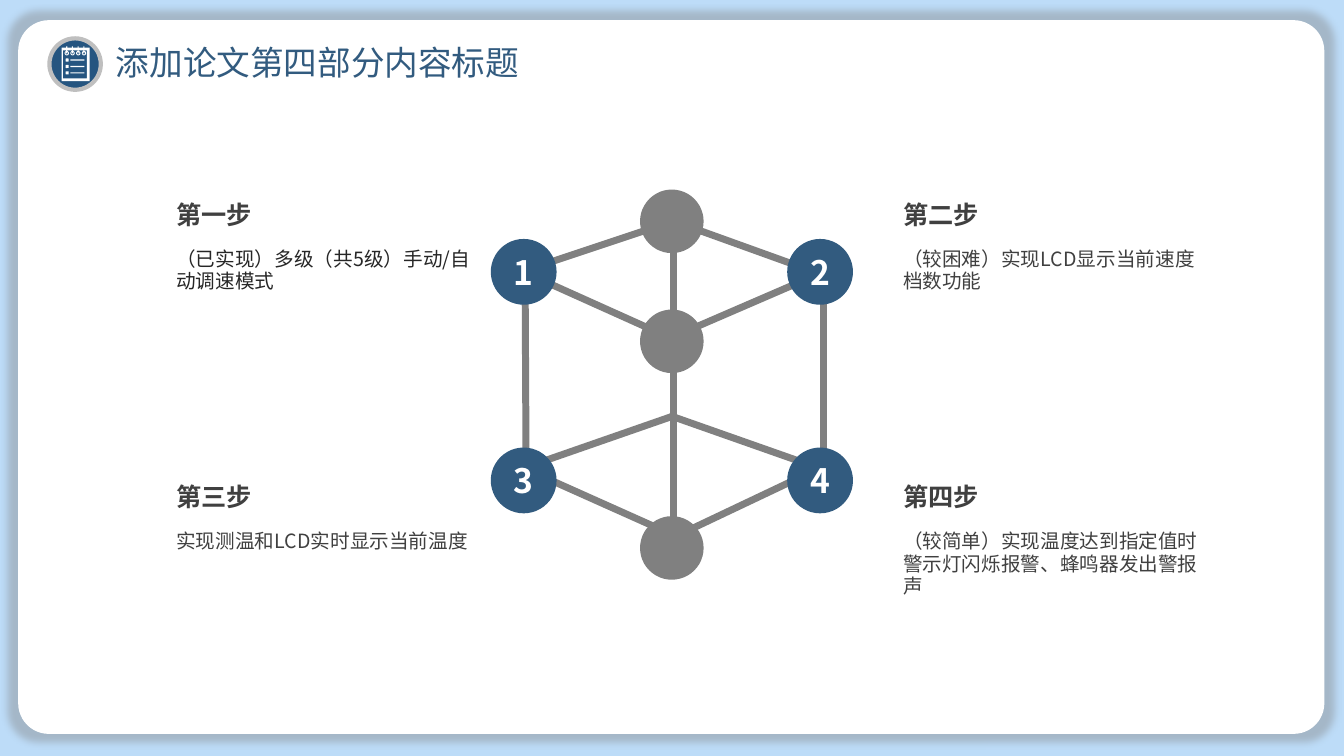
from lxml import etree
from pptx import Presentation
from pptx.dml.color import RGBColor
from pptx.enum import shapes, text
from pptx.oxml import ns
from pptx.util import Pt

COLORS = {"sky": "BDDCF8", "white": "FFFFFF", "navy": "325B7F", "badge": "255580",
          "ring": "BFBFBF", "gray": "808080", "dark": "404040", "darker": "262626"}
SANS = "Noto Sans CJK SC"
TITLE_FONT = "Noto Sans CJK JP"
STEPS = [
    ("第一步", "（已实现）多级（共5级）手动/自动调速模式", "darker"),
    ("第二步", "（较困难）实现LCD显示当前速度档数功能", "dark"),
    ("第三步", "实现测温和LCD实时显示当前温度", "dark"),
    ("第四步", "（较简单）实现温度达到指定值时警示灯闪烁报警、蜂鸣器发出警报声", "dark"),
]
EDGES = [
    (128.9, 23, 20.9, 59), (224.6, 203.8, 138.2, 244.8), (129.6, 162, 32.4, 195.8),
    (225.4, 64.1, 128.9, 105.8), (121, 242.6, 37.4, 205.2), (229.7, 197.3, 127.4, 161.3),
    (234, 59.8, 131.8, 23), (123.1, 103.7, 30.2, 61.9), (24.5, 64.1, 25.2, 202.3),
    (237.6, 64.1, 237.6, 202.3), (130.3, 33.1, 130.3, 246.2),
]


def rgb(name):
    """Return the named colour."""
    return RGBColor.from_string(COLORS[name])


def paint(shape, fill):
    """Give a shape a flat fill without outline or shadow."""
    shape.shadow.inherit = False
    shape.fill.solid()
    shape.fill.fore_color.rgb = rgb(fill)
    shape.line.fill.background()
    return shape


def add_flat(parent, kind, left, top, width, height, fill):
    """Add a flat preset shape."""
    return paint(parent.add_shape(kind, Pt(left), Pt(top), Pt(width), Pt(height)), fill)


def write(shape, words, size, color, font=SANS, bold=False, spacing=None, align=None):
    """Write one paragraph into a shape."""
    para = shape.text_frame.paragraphs[0]
    para.text = words
    para.alignment = align
    if spacing:
        para.line_spacing = Pt(spacing)
    para.font.size = Pt(size)
    para.font.bold = bold
    para.font.color.rgb = rgb(color)
    para.font.name = font
    style = para._p.find(".//" + ns.qn("a:defRPr"))
    etree.SubElement(style, ns.qn("a:ea"), typeface=font)


def set_margins(frame, side, end):
    """Set the inner margins of a text frame."""
    frame.margin_left = frame.margin_right = Pt(side)
    frame.margin_top = frame.margin_bottom = Pt(end)


def add_backdrop(page, left, top, width, height):
    """Draw the sky ground and the rounded card with its halo."""
    add_flat(page.shapes, shapes.MSO_SHAPE.RECTANGLE, left, top, width, height, "sky")
    card = add_flat(page.shapes, shapes.MSO_SHAPE.ROUNDED_RECTANGLE, left + 13, top + 14.4,
                    width - 27, height - 30.2, "white")
    card.adjustments[0] = 0.043
    effects = card._element.spPr.find(ns.qn("a:effectLst"))
    halo = etree.SubElement(effects, ns.qn("a:outerShdw"), blurRad=str(Pt(5)), dist="0", dir="0",
                            sx="101500", sy="102500", algn="ctr", rotWithShape="0")
    tint = etree.SubElement(halo, ns.qn("a:srgbClr"), val=COLORS["gray"])
    etree.SubElement(tint, ns.qn("a:alpha"), val="40000")


def add_title(page, left, top, width, height, words):
    """Place the title above the backdrop."""
    title = page.shapes.title
    page.shapes._spTree.append(title._element)
    title.left, title.top, title.width, title.height = Pt(left), Pt(top), Pt(width), Pt(height)
    frame = title.text_frame
    frame.word_wrap = True
    frame.auto_size = text.MSO_AUTO_SIZE.NONE
    frame.vertical_anchor = text.MSO_ANCHOR.TOP
    set_margins(frame, 9.4, 5)
    write(title, words, 24, "navy", TITLE_FONT, align=text.PP_ALIGN.LEFT)


def add_badge(page, left, top, size):
    """Draw the round badge with a notepad."""
    badge = page.shapes.add_group_shape().shapes
    disc = add_flat(badge, shapes.MSO_SHAPE.OVAL, left, top, size, size, "badge")
    disc.line.color.rgb = rgb("ring")
    disc.line.width = Pt(3)
    rings = [left + 12.4 + 4.1 * column for column in range(4)]

    def corners(x, y, width, height):
        """Return the corners of a rectangle."""
        return [(x, y), (x + width, y), (x + width, y + height), (x, y + height)]

    outer = corners(left + 8.6, top + 6.4, 20.2, 23.8)
    inner = corners(left + 10.1, top + 8.6, 17, 20)
    builder = badge.build_freeform(*outer[0], scale=Pt(1))
    builder.add_line_segments(outer[1:])
    builder.move_to(*inner[0])
    builder.add_line_segments(inner[1:])
    paint(builder.convert_to_shape(), "white")
    for center in rings:
        ring = add_flat(badge, shapes.MSO_SHAPE.DONUT, center - 1.6, top + 9, 3.2, 3.2, "white")
        ring.adjustments[0] = 0.22
        add_flat(badge, shapes.MSO_SHAPE.RECTANGLE, center - 0.4, top + 5.7, 0.8, 5, "white")
    for row in range(3):
        y = top + 14.4 + 4.6 * row
        add_flat(badge, shapes.MSO_SHAPE.ROUNDED_RECTANGLE, left + 11.6, y, 2.2, 2.2, "white")
        add_flat(badge, shapes.MSO_SHAPE.ROUNDED_RECTANGLE, left + 15, y + 0.7, 10, 0.8, "white")


def add_cube(page, left, top):
    """Draw the linked cube with numbered and plain nodes."""
    cube = page.shapes.add_group_shape().shapes
    for x1, y1, x2, y2 in EDGES:
        edge = cube.add_connector(shapes.MSO_CONNECTOR.STRAIGHT, Pt(left + x1), Pt(top + y1),
                                  Pt(left + x2), Pt(top + y2))
        edge.line.color.rgb = rgb("gray")
        edge.line.width = Pt(5)
        etree.SubElement(edge._element.spPr, ns.qn("a:effectLst"))
    for index in range(len(STEPS)):
        row, column = divmod(index, 2)
        node = add_flat(cube, shapes.MSO_SHAPE.OVAL, left + 211.7 * column,
                        top + 35.3 + 149 * row, 47, 47, "navy")
        node.text_frame.vertical_anchor = text.MSO_ANCHOR.MIDDLE
        set_margins(node.text_frame, 0, 0)
        write(node, str(index + 1), 24, "white", bold=True, align=text.PP_ALIGN.CENTER)
    for y in (0, 85.7, 233.3):
        add_flat(cube, shapes.MSO_SHAPE.OVAL, left + 106.6, top + y, 45.4, 45.4, "gray")


def add_step(page, left, top, heading, body, color):
    """Write a step heading with its explanation below."""
    parts = [(heading, 0, 113.8, 19.4, 18, "dark", True, 19.2),
             (body, 32.4, 221, 32.4, 14, color, False, 16)]
    for words, offset, width, height, size, tone, bold, spacing in parts:
        box = page.shapes.add_textbox(Pt(left), Pt(top + offset), Pt(width), Pt(height))
        box.text_frame.word_wrap = True
        box.text_frame.auto_size = text.MSO_AUTO_SIZE.SHAPE_TO_FIT_TEXT
        set_margins(box.text_frame, 0, 0)
        write(box, words, size, tone, bold=bold, spacing=spacing)


def main():
    """Build and save the deck."""
    deck = Presentation()
    deck.slide_width, deck.slide_height = Pt(960), Pt(540)
    page = deck.slides.add_slide(deck.slide_layouts[5])
    add_backdrop(page, 0, 0, 960, 540)
    add_title(page, 73.4, 25.2, 320.4, 38.9, "添加论文第四部分内容标题")
    add_badge(page, 35.3, 27.4, 36.7)
    add_cube(page, 350.6, 135.4)
    for index, step in enumerate(STEPS):
        row, column = divmod(index, 2)
        add_step(page, 126 + 519.1 * column, 144.7 + 201.6 * row, *step)
    deck.save("out.pptx")


if __name__ == "__main__":
    main()
